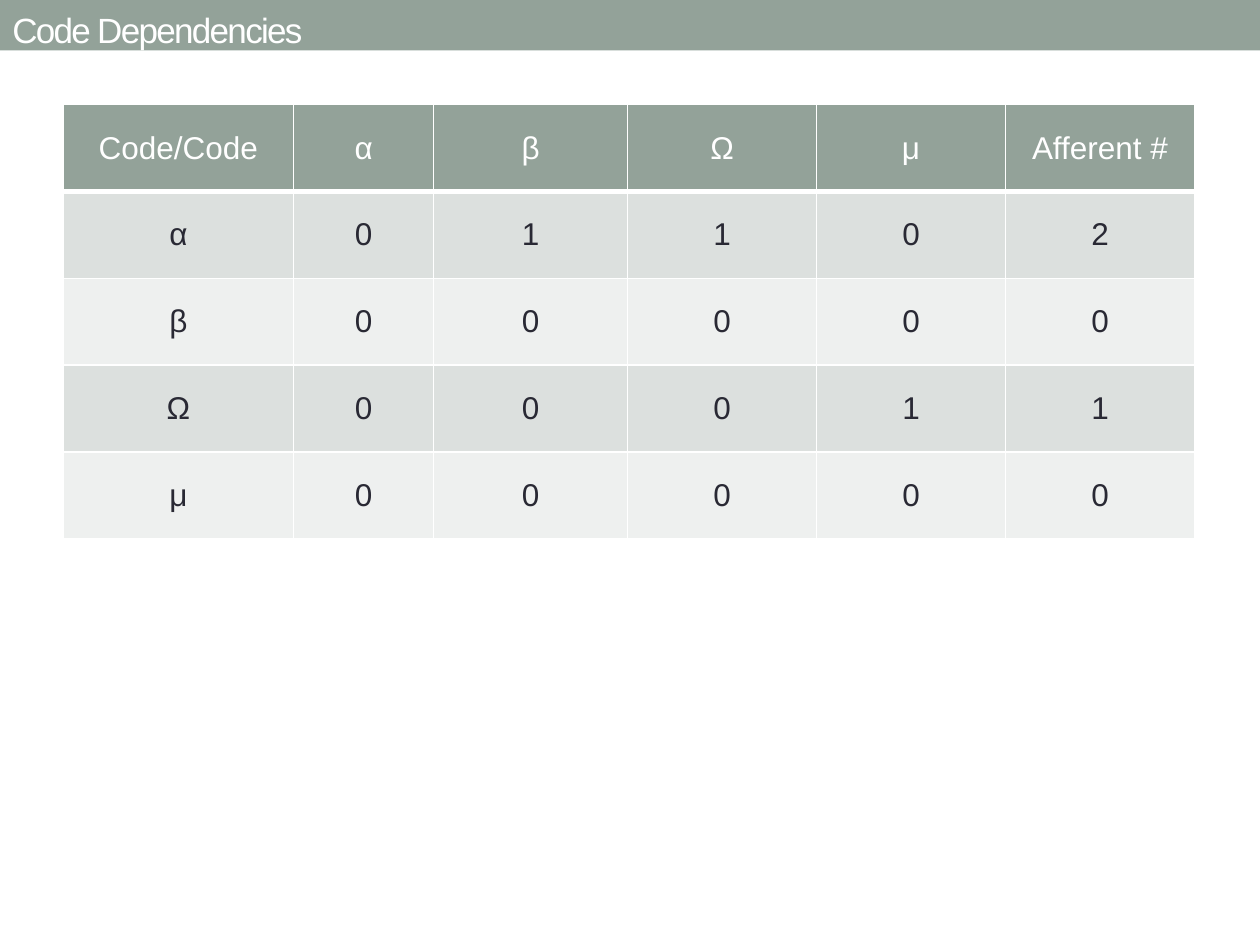
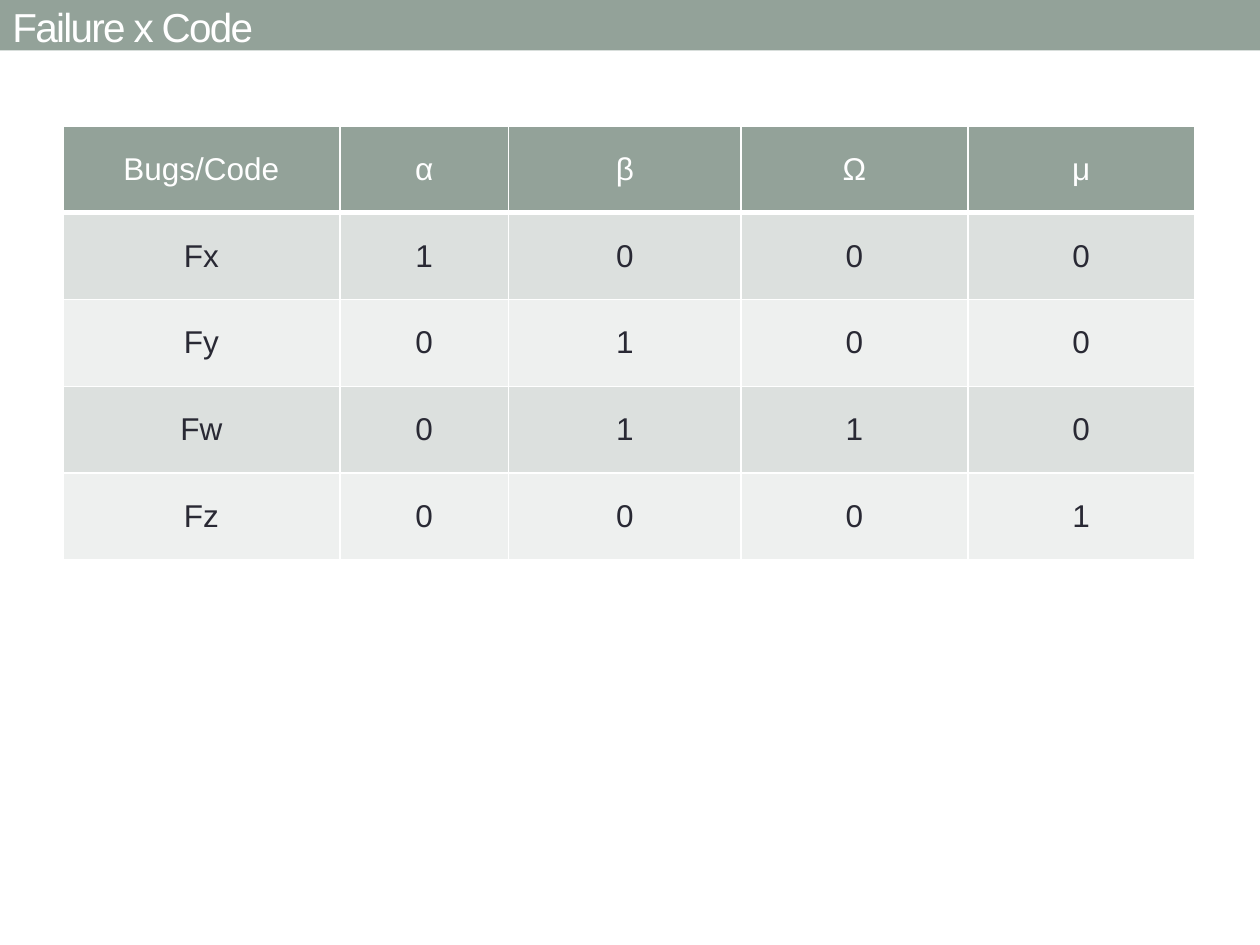
from dataclasses import dataclass

from lxml.etree import SubElement
from pptx import Presentation
from pptx.dml.color import RGBColor
from pptx.enum.shapes import MSO_SHAPE
from pptx.enum.text import MSO_ANCHOR, PP_ALIGN
from pptx.oxml.ns import qn
from pptx.util import Cm, Pt

# Content: Greek letters name the code units
CODES = ["α", "β", "Ω", "μ"]
DEPENDENCIES = {
    "α": [0, 1, 1, 0],
    "β": [0, 0, 0, 0],
    "Ω": [0, 0, 0, 1],
    "μ": [0, 0, 0, 0],
}
FAILURES = {
    "Fx": [1, 0, 0, 0],
    "Fy": [0, 1, 0, 0],
    "Fw": [0, 1, 1, 0],
    "Fz": [0, 0, 0, 1],
}

# Lengths in cm
SLIDES = [
    dict(title="Code Dependencies", size=20, title_top=0.1, title_height=0.97,
         table_top=2.11, widths=[4.65, 2.82, 3.91, 3.81, 3.81, 3.81],
         rows=[["Code/Code", *CODES, "Afferent #"]]
         + [[code, *uses, sum(uses)] for code, uses in DEPENDENCIES.items()]),
    dict(title="Failure x Code", size=23.1, title_top=0, title_height=1.07,
         table_top=2.54, widths=[5.58, 3.4, 4.69, 4.57, 4.57],
         rows=[["Bugs/Code", *CODES]]
         + [[bug, *hits] for bug, hits in FAILURES.items()]),
]


@dataclass(frozen=True)
class Theme:
    font: str = "Arial"
    accent: str = "93A299"
    dark_row: str = "DCE0DE"
    light_row: str = "EEF0EF"
    text: str = "292934"
    white: str = "FFFFFF"
    cell_size: float = 18
    title_spacing: float = -1
    rule: float = 1
    header_rule: float = 3


T = Theme()
SLIDE_W, SLIDE_H = 25.4, 19.05
BAND_H, TITLE_W = 1.02, 22.86
TABLE_LEFT, ROW_H = 1.27, 1.75


def set_fill(target, color):
    target.fill.solid()
    target.fill.fore_color.rgb = RGBColor.from_string(color)


def add_run(tf, text, size, color):
    r = tf.paragraphs[0].add_run()
    r.text = text
    r.font.name = T.font
    r.font.size = Pt(size)
    r.font.color.rgb = RGBColor.from_string(color)
    return r


def set_borders(cell, bottom):
    tcPr = cell._tc.get_or_add_tcPr()
    for side in "LRTB":
        width = bottom if side == "B" else T.rule
        ln = SubElement(tcPr, qn(f"a:ln{side}"), w=str(Pt(width)))
        fill = SubElement(ln, qn("a:solidFill"))
        SubElement(fill, qn("a:srgbClr"), val=T.white)


def add_band(slide):
    sp = slide.shapes.add_shape(MSO_SHAPE.RECTANGLE, 0, 0, Cm(SLIDE_W), Cm(BAND_H))
    sp.shadow.inherit = False
    set_fill(sp, T.accent)
    sp.line.fill.background()


def add_title(slide, text, size, top, height):
    sp = slide.shapes.add_textbox(0, Cm(top), Cm(TITLE_W), Cm(height))
    tf = sp.text_frame
    tf.word_wrap = True
    tf.vertical_anchor = MSO_ANCHOR.MIDDLE
    r = add_run(tf, text, size, T.white)
    r._r.get_or_add_rPr().set("spc", str(int(T.title_spacing * 100)))


def add_matrix(slide, rows, widths, top):
    table = slide.shapes.add_table(
        len(rows), len(widths), Cm(TABLE_LEFT), Cm(top),
        Cm(sum(widths)), Cm(ROW_H * len(rows))).table
    for column, width in zip(table.columns, widths):
        column.width = Cm(width)
    for i, values in enumerate(rows):
        table.rows[i].height = Cm(ROW_H)
        header = i == 0
        fill = T.accent if header else (T.light_row, T.dark_row)[i % 2]
        for j, value in enumerate(values):
            cell = table.cell(i, j)
            set_borders(cell, T.header_rule if header else T.rule)
            set_fill(cell, fill)
            cell.vertical_anchor = MSO_ANCHOR.MIDDLE
            cell.text_frame.paragraphs[0].alignment = PP_ALIGN.CENTER
            add_run(cell.text_frame, str(value), T.cell_size,
                    T.white if header else T.text)


# Build the slides
prs = Presentation()
prs.slide_width, prs.slide_height = Cm(SLIDE_W), Cm(SLIDE_H)
for page in SLIDES:
    slide = prs.slides.add_slide(prs.slide_layouts[6])
    add_band(slide)
    add_title(slide, page["title"], page["size"], page["title_top"], page["title_height"])
    add_matrix(slide, page["rows"], page["widths"], page["table_top"])
prs.save("out.pptx")
